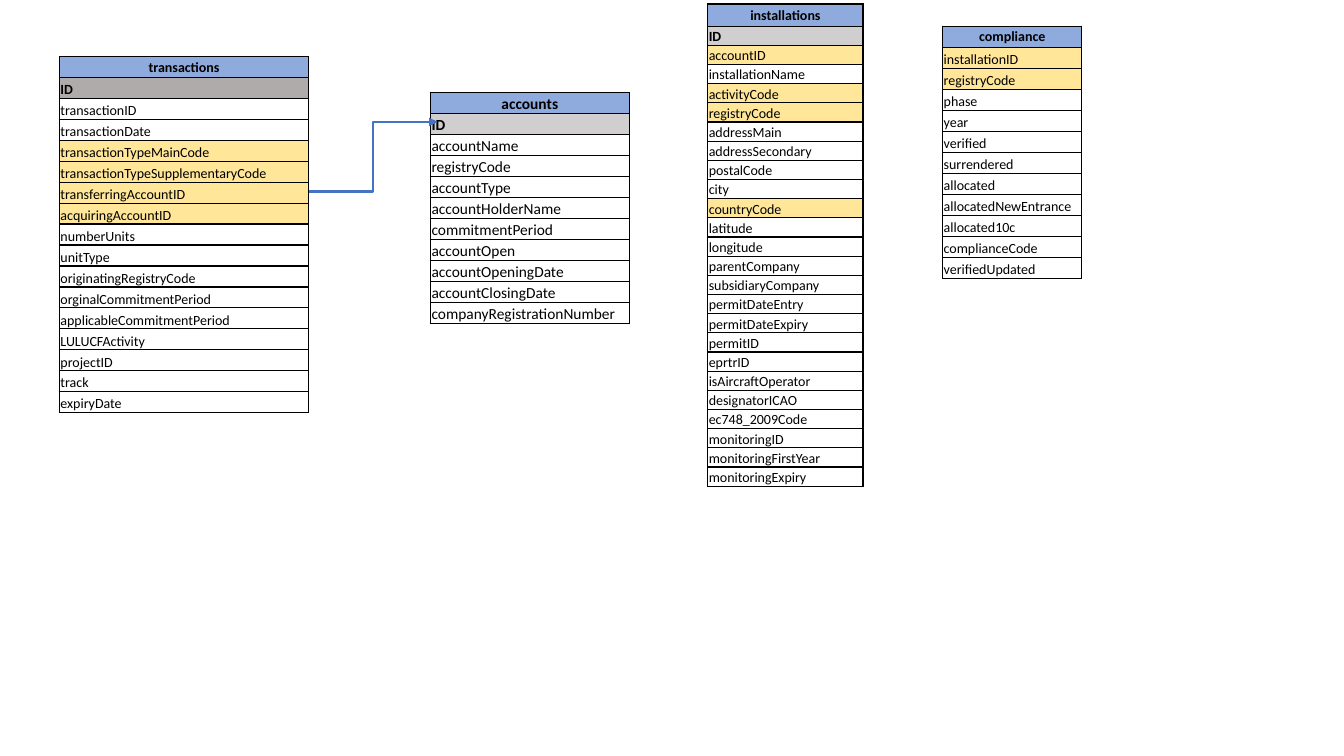
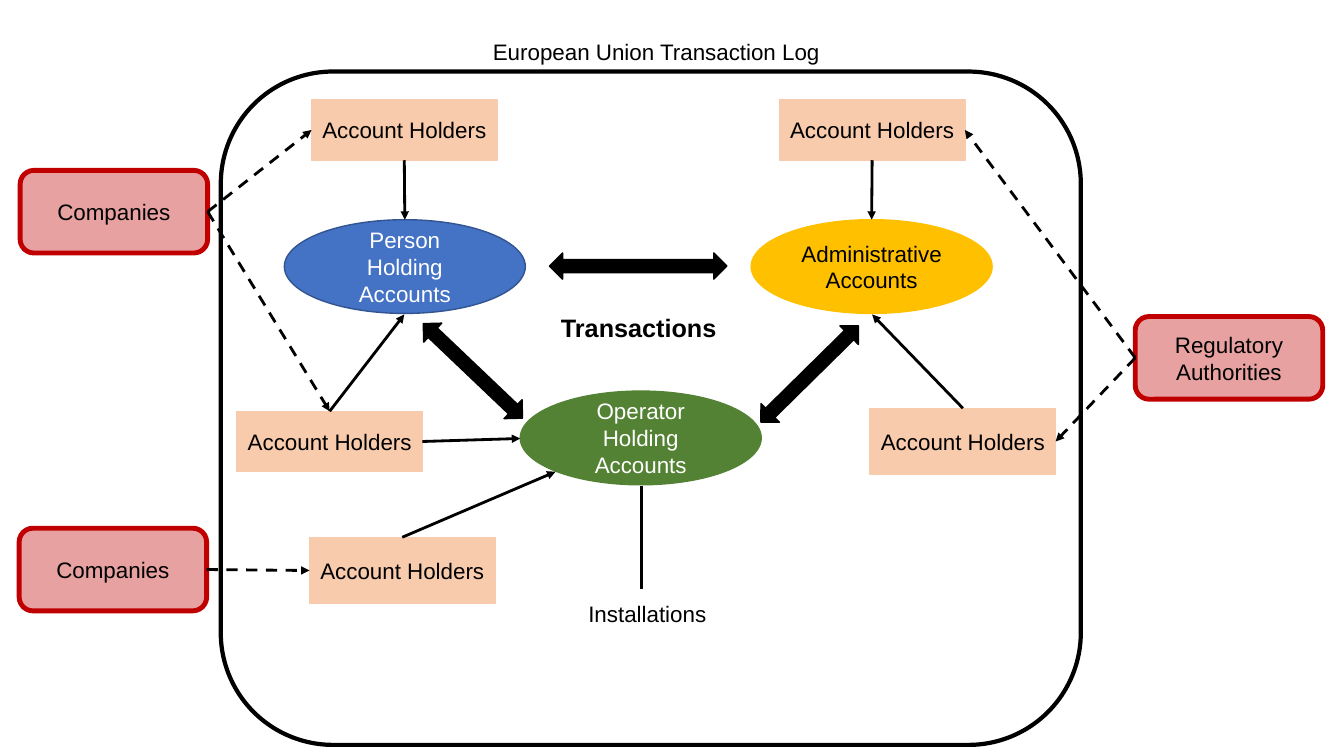
from lxml import etree
from pptx import Presentation
from pptx.dml.color import RGBColor
from pptx.enum.dml import MSO_LINE_DASH_STYLE as Dash
from pptx.enum.shapes import MSO_CONNECTOR as Link, MSO_SHAPE as Shape
from pptx.enum.text import MSO_ANCHOR as Anchor, PP_ALIGN as Align
from pptx.oxml.ns import qn
from pptx.util import Pt

SCALE = 9144  # EMU in one px, 100 px to the inch
COLORS = {
    "black": "000000", "white": "FFFFFF",
    "header": "8FAADC", "id_light": "D0CECE", "id_dark": "AFABAB", "key": "FFE699",
    "blue": "4472C4", "navy": "325491", "gold": "FFC000", "green": "548235",
    "peach": "F8CBAD", "red": "C00000",
}
TOP, LEFT, BOTTOM, RIGHT = range(4)
BLANK_LAYOUT = 6


def px(length):
    return round(length * SCALE)


def rgb(name):
    return RGBColor.from_string(COLORS[name])


def write(frame, text, size, font="Arial", color="black", bold=False, align=Align.CENTER):
    """Fill a text frame with one paragraph; a newline becomes a line break."""
    para = frame.paragraphs[0]
    para.alignment = align
    for number, line in enumerate(text.split("\n")):
        if number:
            para.add_line_break()
        span = para.add_run()
        span.text = line
        span.font.name, span.font.size, span.font.bold = font, Pt(size), bold
        span.font.color.rgb = rgb(color)


def add_label(page, area, text, size=16, bold=False, align=Align.CENTER, anchor=Anchor.TOP):
    box = page.shapes.add_textbox(*map(px, area))
    box.text_frame.word_wrap = True
    box.text_frame.vertical_anchor = anchor
    write(box.text_frame, text, size, bold=bold, align=align)


def add_box(page, kind, area, fill, line, width=1, text="", color="black", opacity=None, turn=0):
    box = page.shapes.add_shape(kind, *map(px, area))
    box.shadow.inherit = False
    box.rotation = turn
    box.line.color.rgb = rgb(line)
    box.line.width = Pt(width)
    if fill:
        box.fill.solid()
        box.fill.fore_color.rgb = rgb(fill)
    else:
        box.fill.background()
    if opacity:
        tint = box.fill._xPr.find(".//" + qn("a:srgbClr"))
        etree.SubElement(tint, qn("a:alpha"), val=str(opacity * 1000))
    if text:
        box.text_frame.vertical_anchor = Anchor.MIDDLE
        write(box.text_frame, text, 16, color=color)
    return box


def add_holder(page, left, top, height):
    return add_box(page, Shape.RECTANGLE, (left, top, 184, height), "peach", "peach",
                   text="Account Holders")


def add_outsider(page, left, top, text):
    return add_box(page, Shape.ROUNDED_RECTANGLE, (left, top, 186, 82), "red", "red",
                   width=3.5, text=text, opacity=37)


def add_account(page, left, top, text, fill, line, color="white"):
    return add_box(page, Shape.OVAL, (left, top, 239, 93), fill, line, text=text, color=color)


def add_link(page, start, end, kind=Link.STRAIGHT, color="black", dashed=False, arrow=True):
    """Each end is a point (x, y) or a pair (shape, side)."""
    points = [(0, 0) if hasattr(place[0], "shape_id") else tuple(map(px, place))
              for place in (start, end)]
    link = page.shapes.add_connector(kind, *points[0], *points[1])
    for place, join in ((start, link.begin_connect), (end, link.end_connect)):
        if hasattr(place[0], "shape_id"):
            join(*place)
    link.line.color.rgb = rgb(color)
    link.line.width = Pt(2)
    if dashed:
        link.line.dash_style = Dash.DASH
    if arrow:
        etree.SubElement(link.line._get_or_add_ln(), qn("a:tailEnd"), type="triangle")
    etree.SubElement(link._element.spPr, qn("a:effectLst"))


def add_borders(cell):
    properties = cell._tc.get_or_add_tcPr()
    for side in "LRTB":
        edge = etree.SubElement(properties, qn("a:ln" + side), w=str(Pt(1)))
        fill = etree.SubElement(edge, qn("a:solidFill"))
        etree.SubElement(fill, qn("a:srgbClr"), val=COLORS["black"])


def add_entity(page, area, name, fields, keys="", size=10, id_fill="id_light", header=None):
    """Draw a database table: its name above its fields, with the keys tinted."""
    rows = [name, *fields.split()]
    frame = page.shapes.add_table(len(rows), 1, *map(px, area))
    table = frame.table
    table.first_row = table.horz_banding = False
    height = area[3]
    header = header or height / len(rows)
    fills = {name: "header", "ID": id_fill, **dict.fromkeys(keys.split(), "key")}
    for number, text in enumerate(rows):
        table.rows[number].height = px(header if number == 0
                                       else (height - header) / (len(rows) - 1))
        cell = table.cell(number, 0)
        cell.margin_left = cell.margin_right = cell.margin_top = px(1)
        cell.margin_bottom = 0
        cell.vertical_anchor = Anchor.BOTTOM if number else Anchor.MIDDLE
        add_borders(cell)
        cell.fill.solid()
        cell.fill.fore_color.rgb = rgb(fills.get(text, "white"))
        write(cell.text_frame, text, size, font="Calibri", bold=text in (name, "ID"),
              align=Align.LEFT if number else Align.CENTER)


def build_schema(page):
    add_entity(page, (427, 92, 197, 229), "accounts",
               "ID accountName registryCode accountType accountHolderName commitmentPeriod "
               "accountOpen accountOpeningDate accountClosingDate companyRegistrationNumber",
               size=11)
    add_entity(page, (702, 4, 154, 479), "installations",
               "ID accountID installationName activityCode registryCode addressMain "
               "addressSecondary postalCode city countryCode latitude longitude parentCompany "
               "subsidiaryCompany permitDateEntry permitDateExpiry permitID eprtrID "
               "isAircraftOperator designatorICAO ec748_2009Code monitoringID "
               "monitoringFirstYear monitoringExpiry",
               keys="accountID activityCode registryCode countryCode", header=22)
    add_entity(page, (935, 26, 138, 250), "compliance",
               "installationID registryCode phase year verified surrendered allocated "
               "allocatedNewEntrance allocated10c complianceCode verifiedUpdated",
               keys="installationID registryCode")
    add_entity(page, (59, 56, 247, 354), "transactions",
               "ID transactionID transactionDate transactionTypeMainCode "
               "transactionTypeSupplementaryCode transferringAccountID acquiringAccountID "
               "numberUnits unitType originatingRegistryCode orginalCommitmentPeriod "
               "applicableCommitmentPeriod LULUCFActivity projectID track expiryDate",
               keys="transactionTypeMainCode transactionTypeSupplementaryCode "
                    "transferringAccountID acquiringAccountID", id_fill="id_dark")
    add_link(page, (306, 190), (434, 121), kind=Link.ELBOW, color="blue")


def build_overview(page):
    add_box(page, Shape.ROUNDED_RECTANGLE, (219, 71, 853, 668), None, "black", width=3)
    add_label(page, (479, 33, 384, 37), "European Union Transaction Log", align=Align.LEFT)
    add_label(page, (492, 305, 283, 40), "Transactions", size=18, bold=True)
    add_label(page, (563, 584, 158, 50), "Installations", anchor=Anchor.MIDDLE)

    person = add_account(page, 282, 218, "Person\nHolding Accounts", "blue", "navy")
    administrative = add_account(page, 745, 218, "Administrative Accounts", "gold", "gold",
                                 color="black")
    add_account(page, 516, 388, "Operator Holding Accounts", "green", "green")
    for left, top, width, turn in ((545, 251, 176, 0), (401, 355, 136, 43.6),
                                   (735, 358, 136, 135.4)):
        add_box(page, Shape.LEFT_RIGHT_ARROW, (left, top, width, 26), "black", "black", turn=turn)

    person_top = add_holder(page, 309, 99, 60)
    person_low = add_holder(page, 235, 408, 60)
    operator_low = add_holder(page, 307, 533, 66)
    admin_top = add_holder(page, 773, 99, 60)
    admin_low = add_holder(page, 863, 405, 66)
    companies = add_outsider(page, 20, 169, "Companies")
    more_companies = add_outsider(page, 19, 524, "Companies")
    authorities = add_outsider(page, 1126, 314, "Regulatory Authorities")

    add_link(page, (636, 482), (636, 584), arrow=False)
    for start, end in (
        ((person_top, BOTTOM), (person, TOP)),
        ((person_low, TOP), (401, 312)),
        ((person_low, RIGHT), (516, 435)),
        ((operator_low, TOP), (551, 468)),
        ((admin_top, BOTTOM), (administrative, TOP)),
        ((admin_low, TOP), (865, 312)),
    ):
        add_link(page, start, end)
    for start, end in (
        ((companies, RIGHT), (person_top, LEFT)),
        ((companies, RIGHT), (person_low, TOP)),
        ((more_companies, RIGHT), (operator_low, LEFT)),
        ((authorities, LEFT), (admin_top, RIGHT)),
        ((authorities, LEFT), (admin_low, RIGHT)),
    ):
        add_link(page, start, end, dashed=True)


def main():
    deck = Presentation()
    deck.slide_width, deck.slide_height = px(1333), px(750)
    for build in (build_schema, build_overview):
        build(deck.slides.add_slide(deck.slide_layouts[BLANK_LAYOUT]))
    deck.save("out.pptx")


if __name__ == "__main__":
    main()
